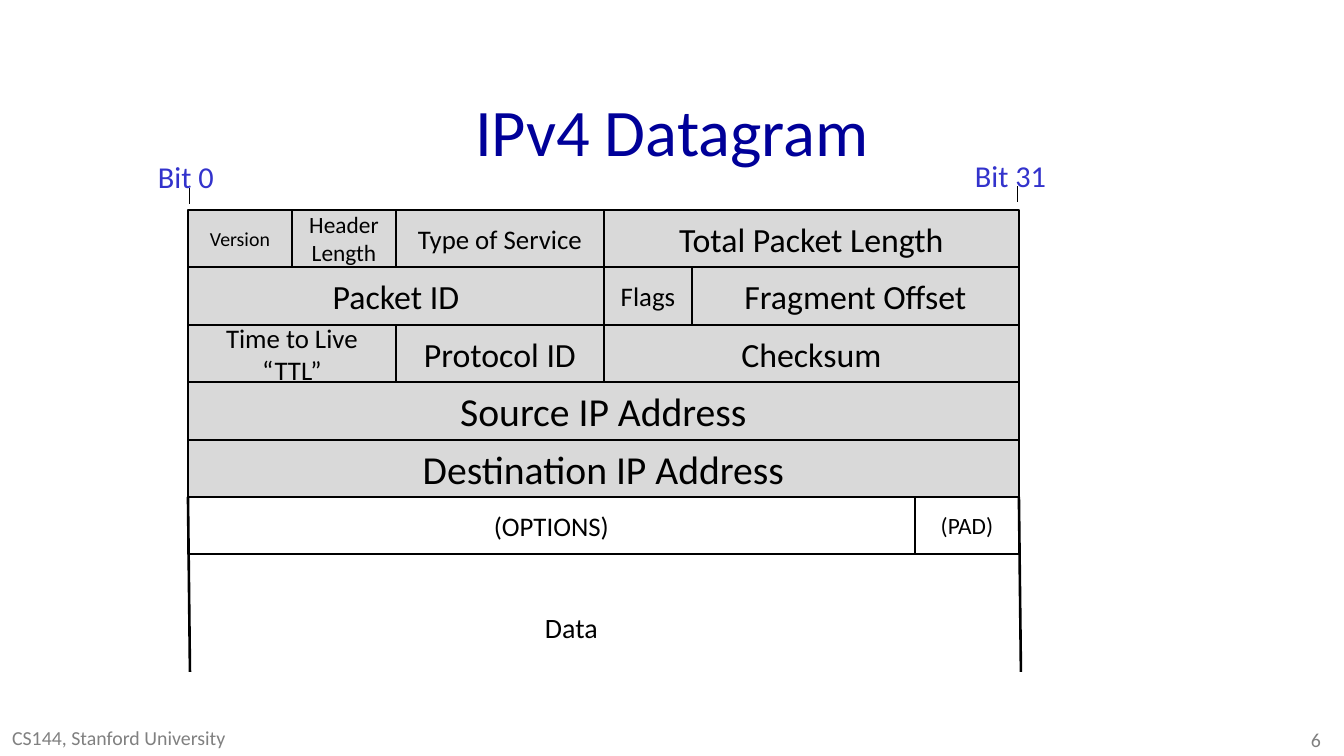
"""Build a slide showing the layout of an IPv4 datagram."""
from lxml import etree
from pptx import Presentation, util as u
from pptx.dml.color import RGBColor
from pptx.enum import shapes, text
from pptx.oxml.ns import qn

PX = u.Inches(1) // 84
BLACK, GREY, BLUE, NAVY, SHADE = "000000", "808080", "3333CC", "000099", "D9D9D9"
LEFT, ALIGN = 188, text.PP_ALIGN


def color(value):
    return RGBColor.from_string(value)


def write(shape, lines, size, ink, align, anchor, inset=12, wrap=True):
    frame = shape.text_frame
    frame.auto_size = text.MSO_AUTO_SIZE.NONE
    frame.word_wrap = wrap
    frame.vertical_anchor = anchor
    frame.margin_left = frame.margin_right = inset * PX
    frame.margin_top = frame.margin_bottom = inset // 2 * PX
    for index, line in enumerate(lines.split("\n")):
        paragraph = frame.add_paragraph() if index else frame.paragraphs[0]
        paragraph.alignment = align
        run = paragraph.add_run()
        run.text = line
        run.font.name = "Calibri"
        run.font.size = u.Pt(size)
        run.font.color.rgb = color(ink)


presentation = Presentation()
presentation.slide_width = u.Inches(16)
presentation.slide_height = u.Inches(9)
slide = presentation.slides.add_slide(presentation.slide_layouts[5])

title = slide.shapes.title
title.left, title.top, title.width, title.height = 101 * PX, 67 * PX, 1142 * PX, 126 * PX
write(title, "IPv4 Datagram", 57, NAVY, ALIGN.CENTER, text.MSO_ANCHOR.MIDDLE)

rows = [
    [("Version", 104, 17), ("Header\nLength", 104, 20),
     ("Type of Service", 208, 23), ("Total Packet Length", 415, 29)],
    [("Packet ID", 416, 29), ("Flags", 88, 23), ("Fragment Offset", 327, 29)],
    [("Time to Live\n“TTL”", 208, 23), ("Protocol ID", 208, 29), ("Checksum", 415, 29)],
    [("Source IP Address", 831, 34)],
    [("Destination IP Address", 831, 34)],
    [("(OPTIONS)", 727, 23), ("(PAD)", 104, 20)],
]
tops = [round(210 + 57.4 * row) for row in range(len(rows) + 1)]
for row, fields in enumerate(rows):
    left, top, height = LEFT, tops[row], tops[row + 1] - tops[row]
    optional = row == len(rows) - 1
    for label, width, size in fields:
        field = slide.shapes.add_shape(
            shapes.MSO_SHAPE.RECTANGLE, left * PX, top * PX, width * PX, height * PX)
        field.shadow.inherit = False
        if optional:
            field.fill.background()
        else:
            field.fill.solid()
            field.fill.fore_color.rgb = color(SHADE)
        field.line.color.rgb = color(BLACK)
        field.line.width = u.Pt(2.25)
        write(field, label, size, BLACK, ALIGN.CENTER, text.MSO_ANCHOR.MIDDLE,
              8 if optional else 12)
        left += width

lines = [
    (188, 497, 190, 672, 2.25), (1019, 497, 1021, 672, 2.25),
    (189, 204, 189, 188, 0.75), (1018, 202, 1018, 186, 0.75),
]
for x1, y1, x2, y2, weight in lines:
    line = slide.shapes.add_connector(
        shapes.MSO_CONNECTOR.STRAIGHT, x1 * PX, y1 * PX, x2 * PX, y2 * PX)
    line.line.color.rgb = color(BLACK)
    line.line.width = u.Pt(weight)
    etree.SubElement(line._element.spPr, qn("a:effectLst"))

labels = [
    ("Bit 0", 146, 152, 80, 49, 26, BLUE, ALIGN.LEFT, False),
    ("Bit 31", 963, 151, 96, 49, 26, BLUE, ALIGN.LEFT, False),
    ("Data", 533, 605, 77, 45, 24, BLACK, ALIGN.LEFT, False),
    ("CS144, Stanford University", 0, 720, 426, 36, 17, GREY, ALIGN.LEFT, True),
    ("6", 1053, 722, 280, 50, 17, GREY, ALIGN.RIGHT, True),
]
for label, left, top, width, height, size, ink, align, wrap in labels:
    box = slide.shapes.add_textbox(left * PX, top * PX, width * PX, height * PX)
    write(box, label, size, ink, align, text.MSO_ANCHOR.TOP, wrap=wrap)

presentation.save("out.pptx")
